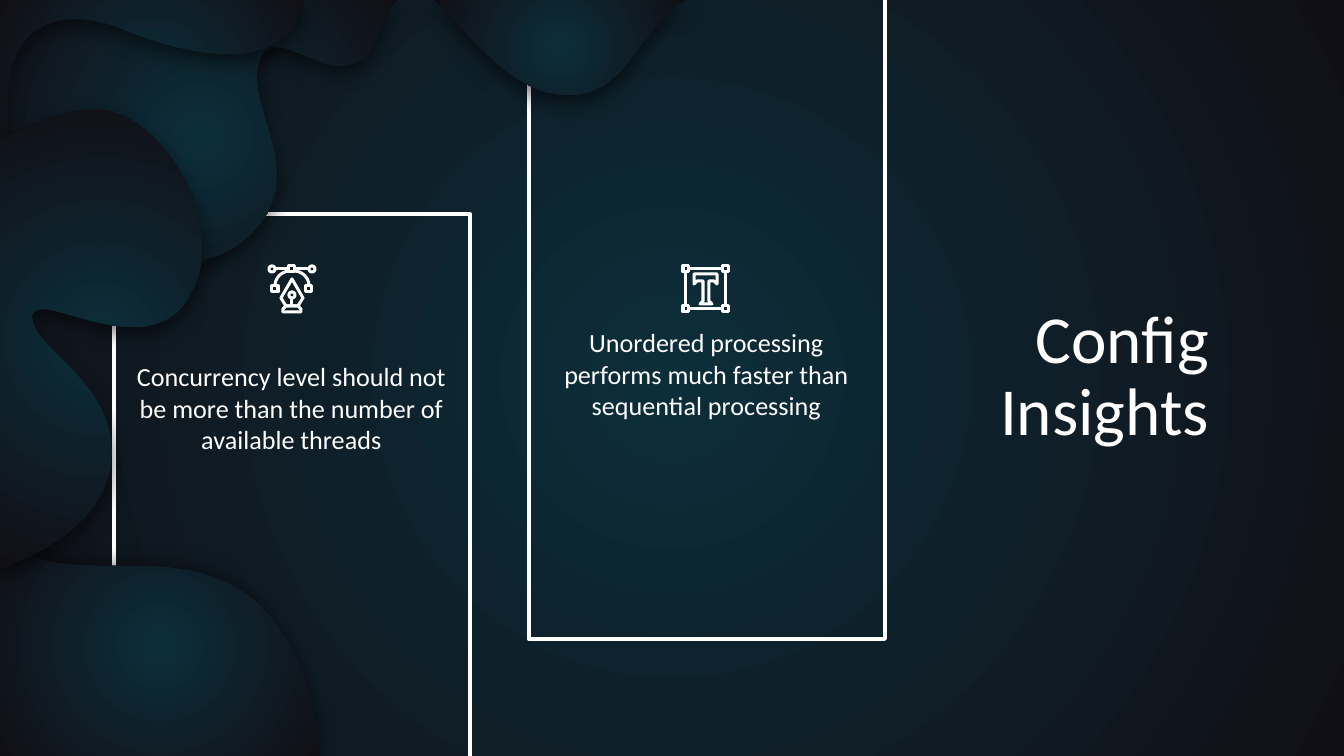
from pptx import Presentation
from pptx.dml.color import RGBColor
from pptx.enum.shapes import MSO_SHAPE as Preset
from pptx.enum.text import MSO_ANCHOR as Anchor, PP_ALIGN as Align
from pptx.oxml import parse_xml
from pptx.oxml.ns import nsdecls, qn
from pptx.util import Emu, Pt

WIDTH, HEIGHT = 1344, 756
SCALE = 914400 / 134.4
TEAL, NIGHT, WHITE, BLACK = "0C2E3A", "110F16", "FFFFFF", "000000"
FONT = "Calibri"
CURVE_STEPS = 16

TOP_DROP = [
    (134, 95), (140, 95, 146, 95, 153, 93), (199, 81, 211, 24, 254, 0),
    (0, 0), (32, 26, 75, 95, 134, 95),
]
BACK_WAVE = [
    (93, 273), (152, 273, 210, 266, 241, 243), (313, 187, 254, 120, 257, 75),
    (258, 54, 266, 47, 276, 47), (285, 47, 296, 52, 306, 56),
    (319, 62, 329, 66, 340, 66), (384, 63, 371, 27, 398, 0),
    (0, 0), (0, 267), (28, 270, 60, 273, 93, 273),
]
CORNER_WAVE = [
    (0, 173), (7, 162, 11, 145, 9, 125), (0, 50, 32, 19, 75, 19),
    (89, 19, 105, 22, 120, 28), (156, 43, 195, 54, 228, 54),
    (267, 54, 298, 39, 305, 0), (0, 0),
]
BOTTOM_HILL = [
    (320, 220), (317, 169, 302, 113, 262, 71), (220, 31, 169, 30, 120, 30),
    (108, 30), (70, 30, 35, 28, 9, 8), (5, 5, 3, 3, 0, 0), (0, 220),
]
LEFT_WAVE = [
    (0, 460), (52, 441, 101, 410, 110, 360), (125, 276, 32, 242, 32, 208),
    (32, 203, 36, 200, 43, 200), (60, 200, 98, 218, 133, 218),
    (155, 218, 175, 211, 188, 190), (233, 122, 165, 5, 99, 0),
    (94, 0), (69, 0, 34, 13, 0, 31),
]
BLOBS = [
    (433, 0, TOP_DROP, 10, 90),
    (0, 0, BACK_WAVE, 8, 90),
    (0, 0, CORNER_WAVE, 8, 90),
    (0, 536, BOTTOM_HILL, 3, 240),
    (0, 109, LEFT_WAVE, 8, 90),
]


def px(length):
    return Emu(round(length * SCALE))


def color(value):
    return RGBColor.from_string(value)


def flatten(segments):
    points = []
    for segment in segments:
        if len(segment) == 2:
            points.append(segment)
            continue
        start = points[-1]
        first, second, end = segment[:2], segment[2:4], segment[4:]
        for step in range(1, CURVE_STEPS + 1):
            t = step / CURVE_STEPS
            u = 1 - t
            points.append(tuple(
                u**3 * a + 3 * u * u * t * b + 3 * u * t * t * c + t**3 * d
                for a, b, c, d in zip(start, first, second, end)
            ))
    return points


def draw_outline(slide, left, top, closed, opened=()):
    builder = None
    for contours, close in ((closed, True), (opened, False)):
        for contour in contours:
            points = [(px(left + x), px(top + y)) for x, y in flatten(contour)]
            if builder is None:
                builder = slide.shapes.build_freeform(*points[0], scale=1.0)
            else:
                builder.move_to(*points[0])
            builder.add_line_segments(points[1:], close=close)
    shape = builder.convert_to_shape()
    shape.shadow.inherit = False
    return shape


def fill_radial(fill, element):
    fill.gradient()
    for stop, position, value in zip(fill.gradient_stops, (0, 1), (TEAL, NIGHT)):
        stop.position = position
        stop.color.rgb = color(value)
    gradient = element.find(".//" + qn("a:gradFill"))
    linear = gradient.find(qn("a:lin"))
    gradient.replace(linear, parse_xml(
        f'<a:path {nsdecls("a")} path="circle">'
        '<a:fillToRect l="50000" t="50000" r="50000" b="50000"/></a:path>'
    ))


def draw_blob(slide, left, top, segments, distance, angle):
    shape = draw_outline(slide, left, top, [segments])
    fill_radial(shape.fill, shape.element)
    shape.line.fill.background()
    shape.element.find(".//" + qn("a:effectLst")).append(parse_xml(
        f'<a:outerShdw {nsdecls("a")} blurRad="{px(19)}" dist="{px(distance)}" '
        f'dir="{angle * 60000}" algn="bl" rotWithShape="0">'
        f'<a:srgbClr val="{BLACK}"><a:alpha val="50000"/></a:srgbClr></a:outerShdw>'
    ))


def draw_frame(slide, left, top, width, height):
    shape = slide.shapes.add_shape(
        Preset.RECTANGLE, px(left), px(top), px(width), px(height))
    shape.shadow.inherit = False
    shape.fill.background()
    shape.line.color.rgb = color(WHITE)
    shape.line.width = Pt(2.25)


def draw_strokes(slide, left, top, closed, opened=()):
    shape = draw_outline(slide, left, top, closed, opened)
    shape.fill.background()
    shape.line.color.rgb = color(WHITE)
    shape.line.width = px(3)


def square(left, top, size=6):
    right, bottom = left + size, top + size
    return [(left, top), (right, top), (right, bottom), (left, bottom)]


def circle(x, y, radius=3):
    k = radius * 0.55
    left, right, top, bottom = x - radius, x + radius, y - radius, y + radius
    return [
        (right, y), (right, y + k, x + k, bottom, x, bottom),
        (x - k, bottom, left, y + k, left, y), (left, y - k, x - k, top, x, top),
        (x + k, top, right, y - k, right, y),
    ]


def draw_pen_icon(slide, left, top):
    nib = [(25, 14), (36, 33), (31, 41), (19, 41), (14, 33)]
    base = [(19, 41), (31, 41), (34, 44), (34, 47), (16, 47), (16, 44)]
    draw_strokes(slide, left, top, [nib, base, circle(25, 30)], [[(25, 33), (25, 41)]])
    handles = [circle(5, 4), circle(45, 4), square(22, 1), square(5, 21), square(39, 21)]
    links = [
        [(8, 4), (22, 4)], [(28, 4), (42, 4)],
        [(8, 21), (8, 13, 14, 7, 22, 6)], [(42, 21), (42, 13, 36, 7, 28, 6)],
    ]
    draw_strokes(slide, left, top, handles, links)


def draw_type_icon(slide, left, top):
    corners = [square(x, y) for x in (1, 41) for y in (1, 41)]
    sides = [[(7, y), (41, y)] for y in (4, 44)] + [[(x, 7), (x, 41)] for x in (4, 44)]
    draw_strokes(slide, left, top, corners, sides)
    letter = [
        (12, 9), (35, 9), (35, 19), (32, 16), (27, 16), (27, 36),
        (30, 39), (18, 39), (21, 36), (21, 16), (15, 16), (12, 19),
    ]
    draw_strokes(slide, left, top, [letter])


def add_text(slide, left, top, width, height, text, size, align, anchor, spacing=1.0):
    shape = slide.shapes.add_textbox(px(left), px(top), px(width), px(height))
    frame = shape.text_frame
    frame.word_wrap = True
    frame.vertical_anchor = anchor
    frame.margin_left = frame.margin_right = px(9)
    frame.margin_top = frame.margin_bottom = px(5)
    paragraph = frame.paragraphs[0]
    paragraph.alignment = align
    paragraph.line_spacing = spacing
    run = paragraph.add_run()
    run.text = text
    run.font.name = FONT
    run.font.size = Pt(size)
    run.font.color.rgb = color(WHITE)


def draw_insight(slide, left, top, text, draw_icon):
    draw_icon(slide, left + 146, 265)
    add_text(slide, left, top, 341, 35, text, 14, Align.CENTER, Anchor.BOTTOM)


def build_slide(slide):
    fill_radial(slide.background.fill, slide.element)
    draw_frame(slide, 114, 214, 356, 555)
    draw_frame(slide, 529, -11, 356, 650)
    for blob in BLOBS:
        draw_blob(slide, *blob)
    add_text(slide, 879, 122, 339, 512, "Config Insights", 36,
             Align.RIGHT, Anchor.MIDDLE, 0.9)
    draw_insight(slide, 121, 425,
                 "Concurrency level should not be more than the number of available threads",
                 draw_pen_icon)
    draw_insight(slide, 536, 391,
                 "Unordered processing performs much faster than sequential processing",
                 draw_type_icon)


def main():
    presentation = Presentation()
    presentation.slide_width, presentation.slide_height = px(WIDTH), px(HEIGHT)
    build_slide(presentation.slides.add_slide(presentation.slide_layouts[6]))
    presentation.save("out.pptx")


if __name__ == "__main__":
    main()
